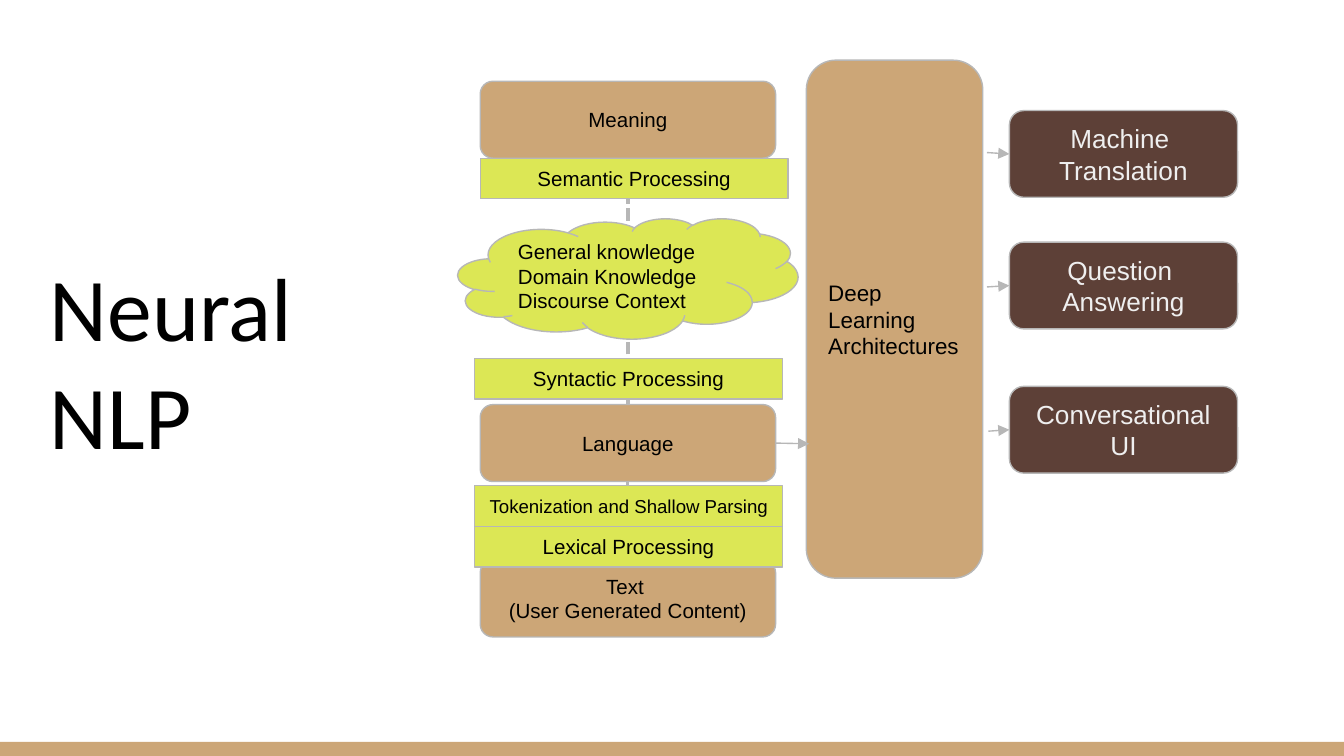
"""Build the Neural NLP slide: language layers feeding deep learning applications."""
from dataclasses import dataclass

import pptx
import pptx.dml.color
import pptx.enum.dml
import pptx.enum.shapes
import pptx.enum.text
import pptx.oxml
import pptx.oxml.ns
import pptx.util

PX = 9525
SHAPE = pptx.enum.shapes.MSO_SHAPE
ALIGN = pptx.enum.text.PP_ALIGN


@dataclass(frozen=True)
class Theme:
    tan: str = "CCA677"
    lime: str = "DCE755"
    brown: str = "5D4037"
    grey: str = "B7B7B7"
    black: str = "000000"
    pale: str = "EFEFEF"
    body_font: str = "Arial"
    title_font: str = "Calibri"
    title_size: int = 48
    output_size: int = 14
    deep_size: int = 12
    label_size: int = 11
    small_size: int = 10
    thin: float = 0.75
    medium: float = 1.5
    thick: float = 2.25


THEME = Theme()


@dataclass(frozen=True)
class Style:
    preset: SHAPE
    fill: str
    size: int = THEME.label_size
    ink: str = THEME.black
    align: ALIGN = ALIGN.CENTER


@dataclass(frozen=True)
class Node:
    lines: tuple[str, ...]
    left: int
    top: int
    width: int
    height: int
    style: Style


LAYER = Style(SHAPE.FLOWCHART_ALTERNATE_PROCESS, THEME.tan)
OUTPUT = Style(SHAPE.FLOWCHART_ALTERNATE_PROCESS, THEME.brown, THEME.output_size, THEME.pale)
BAND = Style(SHAPE.RECTANGLE, THEME.lime)
SMALL_BAND = Style(SHAPE.RECTANGLE, THEME.lime, THEME.small_size)
CLOUD = Style(SHAPE.CLOUD, THEME.lime, align=ALIGN.LEFT)
DEEP = Style(SHAPE.ROUNDED_RECTANGLE, THEME.tan, THEME.deep_size, align=ALIGN.LEFT)

LAYERS = [
    Node(lines, 343, top, 211, 55, LAYER)
    for lines, top in (
        (("Text ", "(User Generated Content)"), 400),
        (("Language",), 289),
        (("Meaning",), 58),
    )
]
OUTPUTS = [
    Node(lines, 721, top, 163, 62, OUTPUT)
    for lines, top in (
        (("Machine ", "Translation"), 79),
        (("Question ", "Answering"), 173),
        (("Conversational", "UI"), 276),
    )
]
PROCESSES = [
    Node((label,), left, top, 220, 29, style)
    for label, left, top, style in (
        ("Lexical Processing", 339, 376, BAND),
        ("Tokenization and Shallow Parsing", 339, 347, SMALL_BAND),
        ("Syntactic Processing", 339, 256, BAND),
        ("Semantic Processing", 343, 113, BAND),
    )
]
KNOWLEDGE = Node(
    ("General knowledge Domain Knowledge", "Discourse Context"), 327, 156, 243, 86, CLOUD
)
ARCHITECTURES = Node(("Deep Learning Architectures",), 576, 43, 126, 370, DEEP)
ARROW_STARTS = ((705, 109), (705, 205), (706, 308))


def px(length: int) -> int:
    """Turn pixels into EMU."""
    return length * PX


def colour(value: str) -> pptx.dml.color.RGBColor:
    """Return the colour for a hex value."""
    return pptx.dml.color.RGBColor.from_string(value)


def assign(target, values: dict) -> None:
    """Set each named attribute on the target."""
    for name, value in values.items():
        setattr(target, name, value)


def write(box, lines: tuple[str, ...], font: str, size: int, ink: str, align: ALIGN) -> None:
    """Fill a box with one formatted paragraph per line."""
    frame = box.text_frame
    margins = {f"margin_{side}": pptx.util.Inches(0.1) for side in ("left", "top", "right", "bottom")}
    assign(frame, margins | {
        "word_wrap": True,
        "auto_size": pptx.enum.text.MSO_AUTO_SIZE.NONE,
        "vertical_anchor": pptx.enum.text.MSO_ANCHOR.MIDDLE,
    })
    for index, line in enumerate(lines):
        para = frame.add_paragraph() if index else frame.paragraphs[0]
        para.alignment = align
        span = para.add_run()
        span.text = line
        assign(span.font, {"name": font, "size": pptx.util.Pt(size)})
        span.font.color.rgb = colour(ink)


def draw_shape(page, preset: SHAPE, bounds: tuple[int, ...], fill: str):
    """Draw a flat filled shape."""
    box = page.shapes.add_shape(preset, *map(px, bounds))
    box.shadow.inherit = False
    box.fill.solid()
    box.fill.fore_color.rgb = colour(fill)
    return box


def draw_node(page, node: Node):
    """Draw an outlined and labelled node."""
    style = node.style
    box = draw_shape(page, style.preset, (node.left, node.top, node.width, node.height), style.fill)
    box.line.color.rgb = colour(THEME.grey)
    box.line.width = pptx.util.Pt(THEME.thin)
    write(box, node.lines, THEME.body_font, style.size, style.ink, style.align)
    return box


def draw_connector(page, start: tuple[int, int] = (0, 0), end: tuple[int, int] = (0, 0),
                   width: float = THEME.thin, arrow: bool = False):
    """Draw a straight grey connector, with an arrowhead if asked."""
    connector = page.shapes.add_connector(
        pptx.enum.shapes.MSO_CONNECTOR.STRAIGHT, *map(px, (*start, *end))
    )
    connector.line.color.rgb = colour(THEME.grey)
    connector.line.width = pptx.util.Pt(width)
    if arrow:
        head = pptx.oxml.parse_xml(
            f'<a:tailEnd {pptx.oxml.ns.nsdecls("a")} type="triangle" w="med" len="med"/>'
        )
        connector.line._get_or_add_ln().append(head)
    effects = pptx.oxml.parse_xml(f'<a:effectLst {pptx.oxml.ns.nsdecls("a")}/>')
    connector._element.spPr.append(effects)
    return connector


def link_layers(page, lower, upper, width: float):
    """Join the top of the lower layer to the bottom of the upper one."""
    connector = draw_connector(page, width=width)
    connector.begin_connect(lower, 0)
    connector.end_connect(upper, 2)
    return connector


def main() -> None:
    """Build and save the deck."""
    deck = pptx.Presentation()
    assign(deck, {"slide_width": px(960), "slide_height": px(540)})
    page = deck.slides.add_slide(deck.slide_layouts[5])
    title = page.shapes.title
    assign(title, {"left": px(26), "top": px(43), "width": px(235), "height": px(428)})
    write(title, ("Neural NLP",), THEME.title_font, THEME.title_size, THEME.black, ALIGN.LEFT)

    footer = draw_shape(page, SHAPE.RECTANGLE, (0, 530, 960, 10), THEME.tan)
    footer.line.fill.background()

    text, language, meaning = [draw_node(page, node) for node in LAYERS]
    link_layers(page, text, language, THEME.medium)
    dotted = link_layers(page, language, meaning, THEME.thick)
    dotted.line.dash_style = pptx.enum.dml.MSO_LINE.SQUARE_DOT

    outputs = [draw_node(page, node) for node in OUTPUTS]
    for node in (*PROCESSES, KNOWLEDGE):
        draw_node(page, node)
    architectures = draw_node(page, ARCHITECTURES)
    architectures.adjustments[0] = 0.167

    feed = draw_connector(page, end=(578, 317), arrow=True)
    feed.begin_connect(language, 3)
    for start, output in zip(ARROW_STARTS, outputs):
        draw_connector(page, start, start, arrow=True).end_connect(output, 1)
    deck.save("out.pptx")


if __name__ == "__main__":
    main()
